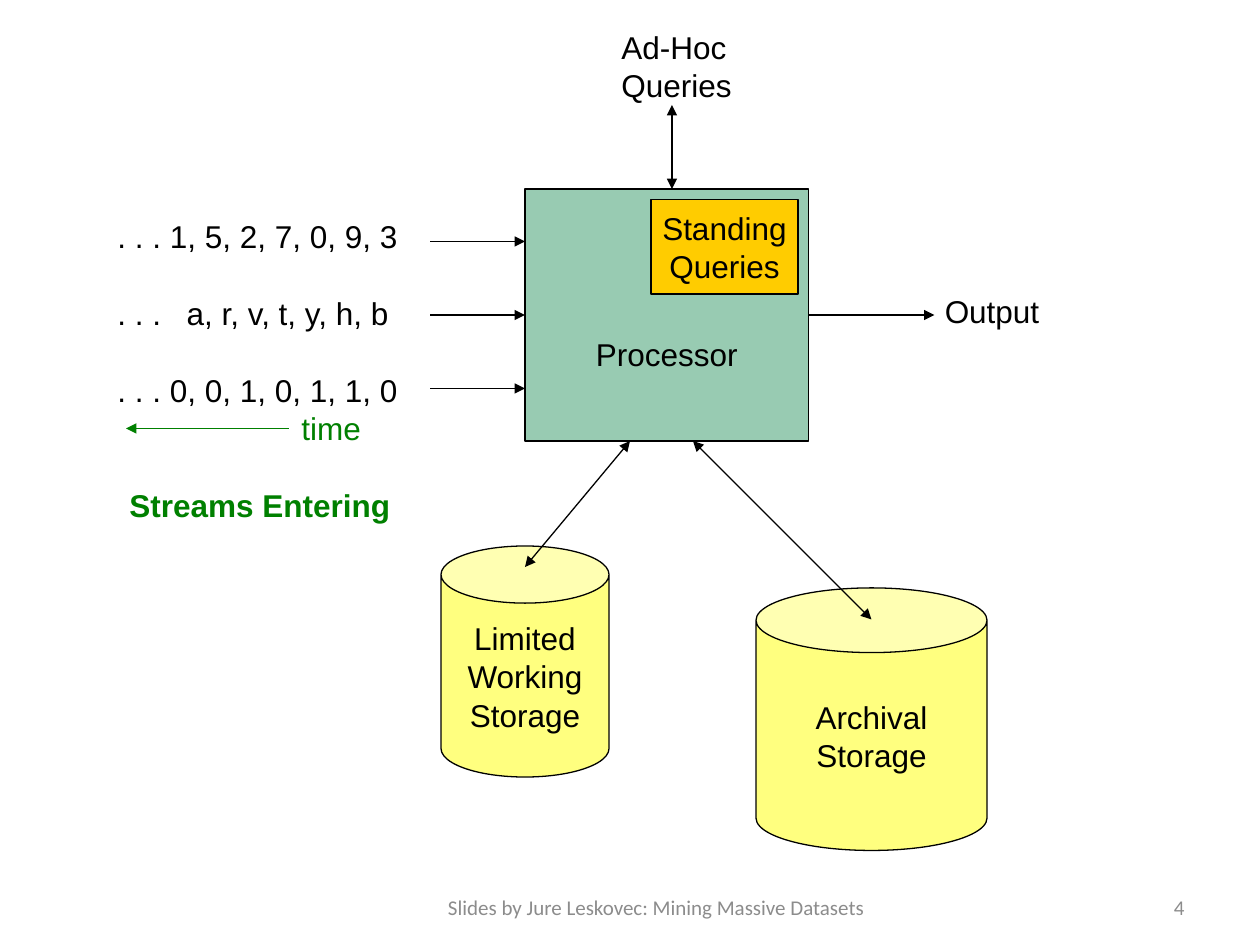
from dataclasses import dataclass

from lxml import etree
from pptx import Presentation
from pptx import util as u
from pptx.dml.color import RGBColor
from pptx.enum import shapes, text
from pptx.oxml.ns import qn


@dataclass(frozen=True)
class Theme:
    ink: str = "000000"
    stream: str = "008000"
    processor: str = "339966"
    storage: str = "FFFF00"
    query: str = "FFCC00"
    muted: str = "8C8C8C"
    body_font: str = "Arial"
    footer_font: str = "Calibri"
    body_size: int = 18
    footer_size: int = 12
    leading: int = 22
    stroke: float = 0.75


LEFT, CENTER, RIGHT = text.PP_ALIGN.LEFT, text.PP_ALIGN.CENTER, text.PP_ALIGN.RIGHT
MIDDLE = text.MSO_ANCHOR.MIDDLE


class Diagram:
    COLUMNS = 120

    def __init__(self, deck, theme):
        self.theme = theme
        self.unit = deck.slide_width / self.COLUMNS
        self.slide = deck.slides.add_slide(deck.slide_layouts[6])

    def grid(self, *cells):
        return [u.Emu(round(cell * self.unit)) for cell in cells]

    def apply(self, target, values):
        for name, value in values.items():
            setattr(target, name, value)

    def fill_text(self, frame, lines, align, **frame_values):
        self.apply(frame, {"word_wrap": False, **frame_values})
        for index, line in enumerate(lines):
            paragraph = frame.paragraphs[0] if index == 0 else frame.add_paragraph()
            self.paragraph(paragraph, line, align)

    def paragraph(self, paragraph, line, align):
        style = {"text": line} if isinstance(line, str) else line
        self.apply(paragraph, {
            "alignment": style.get("align", align),
            "line_spacing": u.Pt(self.theme.leading),
            "space_before": u.Pt(style.get("gap", 0) * self.theme.leading),
        })
        properties = paragraph._p.get_or_add_pPr()
        if "indent" in style:
            properties.set("marL", str(u.Inches(style["indent"])))
        if "tab" in style:
            stops = etree.SubElement(properties, qn("a:tabLst"))
            etree.SubElement(stops, qn("a:tab"), pos=str(u.Inches(style["tab"])), algn="l")
        run = paragraph.add_run()
        run.text = style["text"]
        self.apply(run.font, {
            "name": style.get("font", self.theme.body_font),
            "size": u.Pt(style.get("size", self.theme.body_size)),
            "bold": style.get("bold", False),
        })
        run.font.color.rgb = RGBColor.from_string(style.get("color", self.theme.ink))

    def label(self, cells, lines, align=LEFT, **frame_values):
        box = self.slide.shapes.add_textbox(*self.grid(*cells))
        self.fill_text(box.text_frame, lines, align, **frame_values)

    def footer(self, cells, wording, align):
        line = {"text": wording, "font": self.theme.footer_font,
                "size": self.theme.footer_size, "color": self.theme.muted}
        self.label(cells, [line], align, word_wrap=True, vertical_anchor=MIDDLE)

    def node(self, kind, cells, color, lines, opacity=100, rim=None, **frame_values):
        shape = self.slide.shapes.add_shape(kind, *self.grid(*cells))
        shape.shadow.inherit = False
        if rim is not None:
            shape.adjustments[0] = rim
        shape.fill.solid()
        shape.fill.fore_color.rgb = RGBColor.from_string(color)
        if opacity < 100:
            tint = shape._element.spPr.find(qn("a:solidFill"))[0]
            etree.SubElement(tint, qn("a:alpha"), val=str(opacity * 1000))
        shape.line.color.rgb = RGBColor.from_string(self.theme.ink)
        shape.line.width = u.Pt(self.theme.stroke)
        self.fill_text(shape.text_frame, lines, CENTER, vertical_anchor=MIDDLE, **frame_values)
        return shape

    def box(self, cells, color, lines, **options):
        return self.node(shapes.MSO_SHAPE.RECTANGLE, cells, color, lines, **options)

    def store(self, cells, lines, rim):
        return self.node(shapes.MSO_SHAPE.CAN, cells, self.theme.storage, lines,
                         opacity=50, rim=rim)

    def arrow(self, start, end, both=False, color=None):
        line = self.slide.shapes.add_connector(
            shapes.MSO_CONNECTOR.STRAIGHT, *self.grid(*start, *end))
        line.line.color.rgb = RGBColor.from_string(color or self.theme.ink)
        line.line.width = u.Pt(self.theme.stroke)
        outline = line._element.spPr.find(qn("a:ln"))
        for tip in ["headEnd", "tailEnd"] if both else ["tailEnd"]:
            etree.SubElement(outline, qn(f"a:{tip}"), type="triangle")
        etree.SubElement(line._element.spPr, qn("a:effectLst"))
        return line


def main():
    deck = Presentation()
    deck.slide_width, deck.slide_height = u.Inches(10), u.Inches(7.5)
    theme = Theme()
    diagram = Diagram(deck, theme)

    diagram.footer((41, 83.4, 43, 4.8), "Slides by Jure Leskovec: Mining Massive Datasets", CENTER)
    diagram.footer((86, 83.4, 28, 4.8), "4", RIGHT)

    processor = diagram.box((50, 18, 27, 24), theme.processor, ["Processor"],
                            opacity=50, margin_top=u.Inches(0.66))
    diagram.store((42, 52, 16, 22), ["Limited", "Working", "Storage"], 0.34)
    diagram.arrow((60, 42), (50, 54), both=True)

    streams = [diagram.arrow((41, row), (50, row)) for row in (23, 30, 37)]
    streams[1].end_connect(processor, 1)
    diagram.label((10, 20, 29.5, 30.2), [
        ". . . 1, 5, 2, 7, 0, 9, 3",
        {"text": ". . .\ta, r, v, t, y, h, b", "gap": 1, "tab": 0.55},
        {"text": ". . . 0, 0, 1, 0, 1, 1, 0", "gap": 1},
        {"text": "time", "indent": 1.46, "color": theme.stream},
        {"text": "Streams Entering", "gap": 1, "align": CENTER, "bold": True,
         "color": theme.stream},
    ], word_wrap=True)
    diagram.arrow((27.5, 40.8), (12, 40.8), color=theme.stream)

    diagram.label((58, 2, 13, 8.5), ["Ad-Hoc", "Queries"])
    diagram.arrow((64, 10), (64, 18), both=True)

    diagram.label((88.8, 27.2, 11.5, 4.8), ["Output"])
    diagram.arrow((77, 30), (89, 30)).begin_connect(processor, 3)

    diagram.store((72, 56, 22, 25), ["Archival", "Storage"], 0.28)
    diagram.arrow((66, 42), (83, 59), both=True)
    diagram.box((62, 19, 14, 9), theme.query, ["Standing", "Queries"])

    deck.save("out.pptx")


if __name__ == "__main__":
    main()
